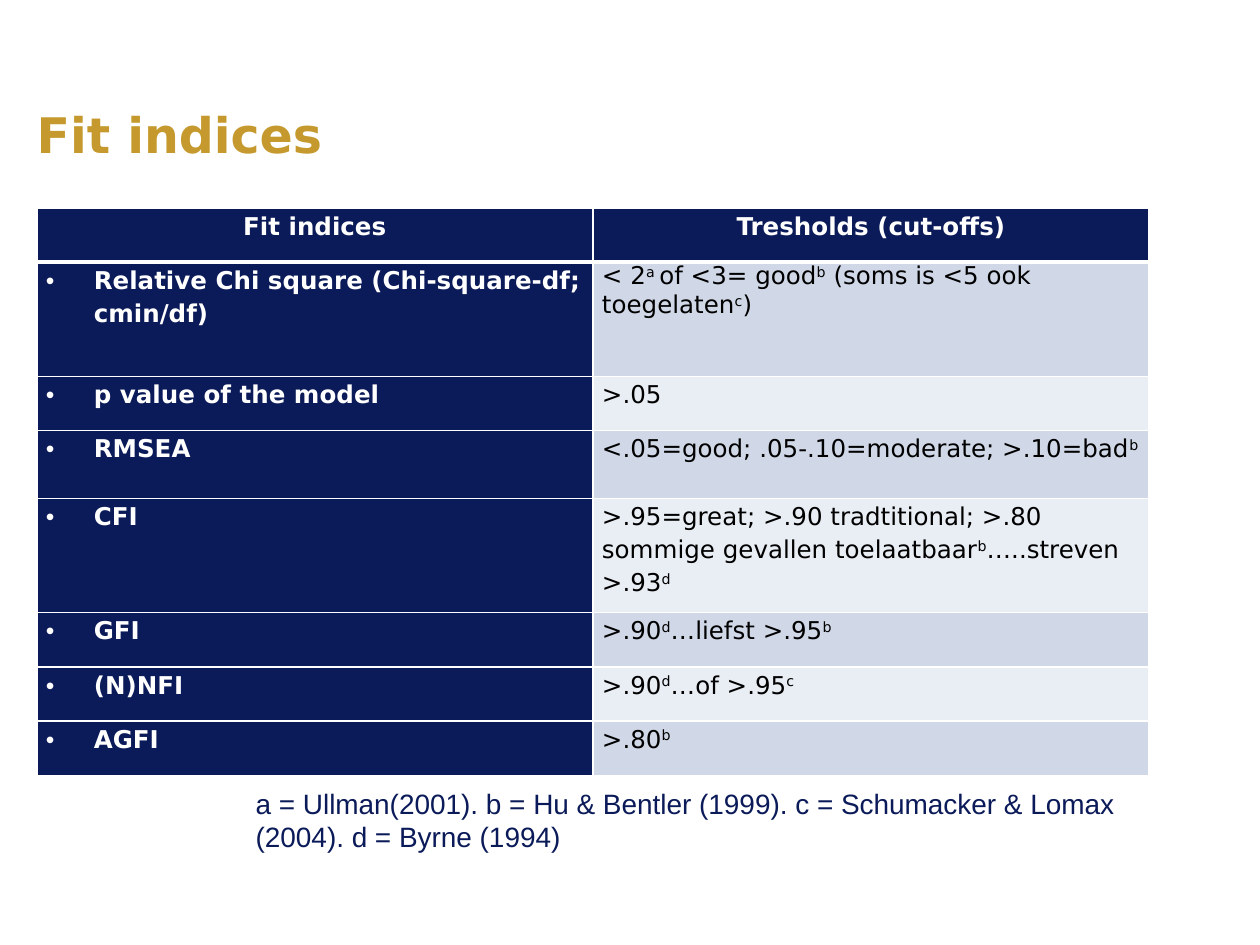
from dataclasses import dataclass

from lxml.etree import SubElement
from pptx import Presentation
from pptx.dml.color import RGBColor
from pptx.enum.text import MSO_ANCHOR as Anchor, PP_ALIGN as Align
from pptx.oxml import parse_xml
from pptx.oxml.ns import nsdecls, qn
from pptx.util import Pt

COLORS = {
    "navy": "0B1A58",
    "gold": "C5992D",
    "white": "FFFFFF",
    "black": "000000",
    "band_dark": "D0D8E8",
    "band_light": "E9EDF4",
}
HEADING_FONT = "DejaVu Sans"
NOTE_FONT = "Arial"
SUPERSCRIPT_MARK = "^"
COLUMN_WIDTH = 317.8
BULLET_INDENT = 27.4


@dataclass(frozen=True)
class TextStyle:
    font: str
    size: float
    color: str
    bold: bool = False


@dataclass(frozen=True)
class FitIndex:
    name: str
    threshold: str
    height: float = 31
    spacing: float = 1.15


TITLE = TextStyle(HEADING_FONT, 28, "gold", True)
LABEL = TextStyle(HEADING_FONT, 14, "white", True)
VALUE = TextStyle(HEADING_FONT, 14, "black")
NOTE = TextStyle(NOTE_FONT, 16, "navy")

HEADINGS = ("Fit indices", "Tresholds (cut-offs)")
FIT_INDICES = (
    FitIndex(
        "Relative Chi square (Chi-square-df; cmin/df)",
        "< 2^a ^of <3= good^b^ (soms is <5 ook toegelaten^c^)",
        65.3,
        1,
    ),
    FitIndex("p value of the model", ">.05"),
    FitIndex("RMSEA", "<.05=good; .05-.10=moderate; >.10=bad^b", 38.8),
    FitIndex(
        "CFI",
        ">.95=great; >.90 tradtitional; >.80 sommige gevallen toelaatbaar^b^…..streven >.93^d",
        65.3,
    ),
    FitIndex("GFI", ">.90^d^…liefst >.95^b"),
    FitIndex("(N)NFI", ">.90^d^…of >.95^c"),
    FitIndex("AGFI", ">.80^b"),
)


def rgb(name: str) -> RGBColor:
    return RGBColor.from_string(COLORS[name])


def write(para, text: str, style: TextStyle) -> None:
    for position, part in enumerate(text.split(SUPERSCRIPT_MARK)):
        if not part:
            continue
        span = para.add_run()
        span.text = part
        span.font.name = style.font
        span.font.size = Pt(style.size)
        span.font.bold = style.bold
        span.font.color.rgb = rgb(style.color)
        if position % 2:
            span._r.get_or_add_rPr().set("baseline", "30000")


def add_bullet(para) -> None:
    properties = para._p.get_or_add_pPr()
    properties.set("marL", str(Pt(BULLET_INDENT)))
    properties.set("indent", str(-Pt(BULLET_INDENT)))
    SubElement(properties, qn("a:buFont")).set("typeface", NOTE_FONT)
    SubElement(properties, qn("a:buChar")).set("char", "•")


def set_borders(cell, top: float, bottom: float) -> None:
    widths = {"lnL": 1, "lnR": 1, "lnT": top, "lnB": bottom}
    properties = cell._tc.get_or_add_tcPr()
    for position, (side, width) in enumerate(widths.items()):
        border = parse_xml(
            f'<a:{side} {nsdecls("a")} w="{Pt(width)}"><a:solidFill>'
            f'<a:srgbClr val="{COLORS["white"]}"/></a:solidFill></a:{side}>'
        )
        properties.insert(position, border)


def fill_cell(cell, text: str, style: TextStyle, fill: str, spacing: float = 1.15):
    cell.margin_left = cell.margin_right = Pt(5.2)
    cell.margin_top = cell.margin_bottom = Pt(0)
    cell.fill.solid()
    cell.fill.fore_color.rgb = rgb(fill)
    para = cell.text_frame.paragraphs[0]
    para.line_spacing = spacing
    write(para, text, style)
    return para


def add_text_box(page, left: float, top: float, width: float, height: float,
                 text: str, style: TextStyle):
    box = page.shapes.add_textbox(Pt(left), Pt(top), Pt(width), Pt(height))
    box.text_frame.word_wrap = True
    write(box.text_frame.paragraphs[0], text, style)
    return box.text_frame


def add_index_table(page) -> None:
    heights = [31] + [index.height for index in FIT_INDICES]
    table = page.shapes.add_table(
        len(heights), len(HEADINGS), Pt(21), Pt(118.8),
        Pt(COLUMN_WIDTH * len(HEADINGS)), Pt(sum(heights)),
    ).table
    table.first_row = False
    table.horz_banding = False
    for column in table.columns:
        column.width = Pt(COLUMN_WIDTH)
    for row, height in zip(table.rows, heights):
        row.height = Pt(height)
    for column, heading in enumerate(HEADINGS):
        fill_cell(table.cell(0, column), heading, LABEL, "navy").alignment = Align.CENTER
    for row, index in enumerate(FIT_INDICES, start=1):
        add_bullet(fill_cell(table.cell(row, 0), index.name, LABEL, "navy"))
        band = "band_dark" if row % 2 else "band_light"
        fill_cell(table.cell(row, 1), index.threshold, VALUE, band, index.spacing)
    for row, cells in enumerate(table.rows):
        for cell in cells.cells:
            set_borders(cell, top=3 if row == 1 else 1, bottom=3 if row == 0 else 1)


def main() -> None:
    deck = Presentation()
    deck.slide_width, deck.slide_height = Pt(720), Pt(540)
    page = deck.slides.add_slide(deck.slide_layouts[6])
    title = add_text_box(page, 21, 57.6, 563.8, 39.6, "Fit indices", TITLE)
    title.vertical_anchor = Anchor.BOTTOM
    title.margin_left = Pt(0)
    title.paragraphs[0].line_spacing = 0.9
    add_index_table(page)
    add_text_box(
        page, 139, 445.7, 516.2, 65.5,
        "a = Ullman(2001). b = Hu & Bentler (1999). "
        "c = Schumacker & Lomax (2004). d = Byrne (1994)",
        NOTE,
    )
    deck.save("out.pptx")


if __name__ == "__main__":
    main()
